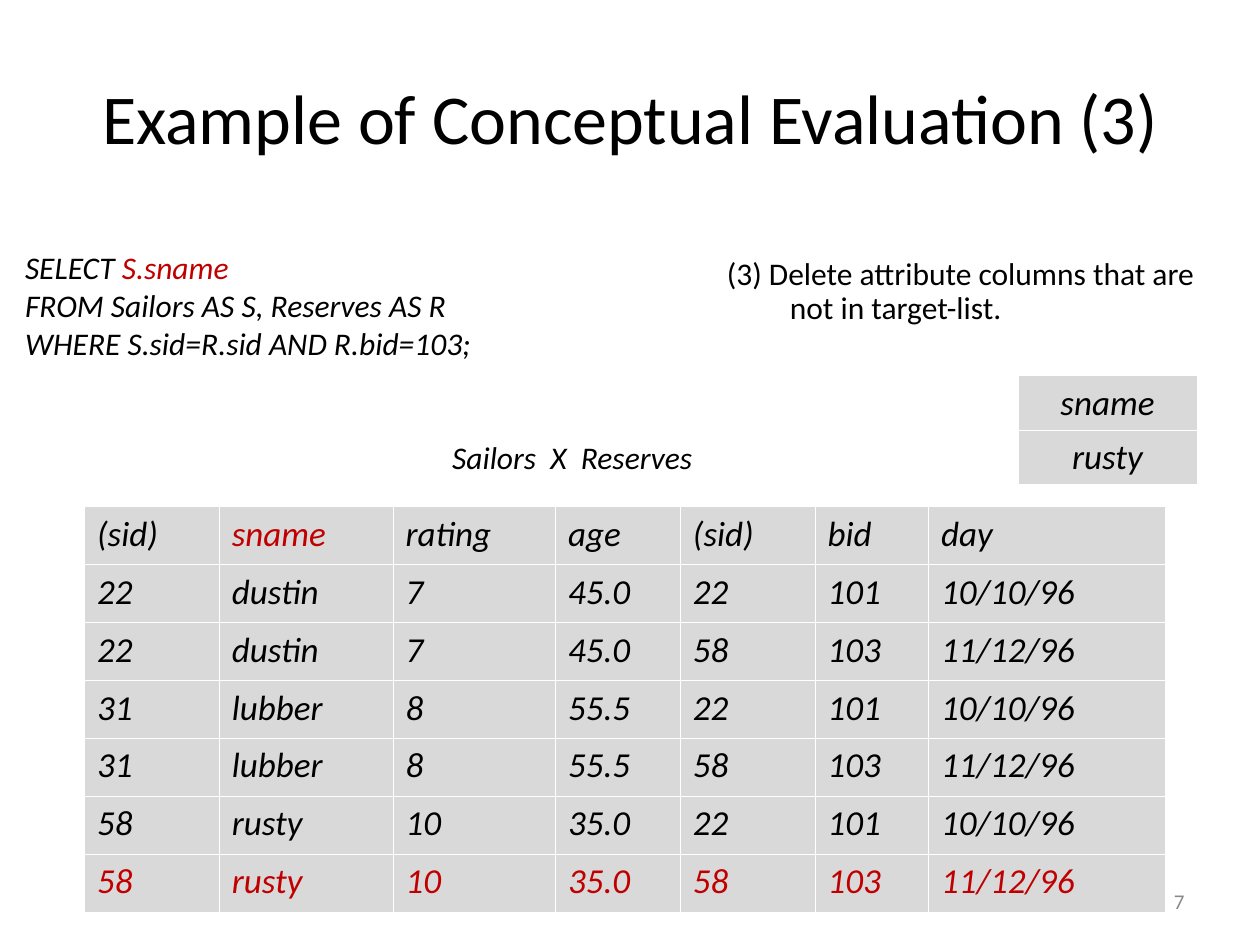
import pptx
import pptx.util
import pptx.dml.color
import pptx.enum.text
import pptx.oxml.ns
from lxml import etree

Inches, Pt = pptx.util.Inches, pptx.util.Pt
ALIGN = pptx.enum.text.PP_ALIGN
ANCHOR = pptx.enum.text.MSO_ANCHOR
COLORS = {"text": "000000", "accent": "C00000", "cell": "D9D9D9",
          "border": "FFFFFF", "number": "898989"}

QUERY = [
    [("SELECT ", "text"), ("S.sname", "accent")],
    [("FROM Sailors AS S, Reserves AS R", "text")],
    [("WHERE S.sid=R.sid AND R.bid=103;", "text")],
]
HEADER = ("(sid)", "sname", "rating", "age", "(sid)", "bid", "day")
SAILORS = [("22", "dustin", "7", "45.0"),
           ("31", "lubber", "8", "55.5"),
           ("58", "rusty", "10", "35.0")]
RESERVES = [("22", "101", "10/10/96"), ("58", "103", "11/12/96")]


def rgb(name):
    return pptx.dml.color.RGBColor.from_string(COLORS[name])


def add_run(p, text, size, color="text", italic=False):
    r = p.add_run()
    r.text = text
    font = {"name": "Calibri", "size": Pt(size), "italic": italic}
    for key, value in font.items():
        setattr(r.font, key, value)
    r.font.color.rgb = rgb(color)


def set_indent(p, left):
    """Hang the first line of a paragraph by the left margin, in inches."""
    pPr = p._p.get_or_add_pPr()
    pPr.set("marL", str(Inches(left)))
    pPr.set("indent", str(-Inches(left)))


def add_title(s, text):
    sp = s.shapes.title
    place = {"left": 0.5, "top": 0.3, "width": 9, "height": 1.25}
    for key, value in place.items():
        setattr(sp, key, Inches(value))
    tf = sp.text_frame
    tf.vertical_anchor = ANCHOR.MIDDLE
    p = tf.paragraphs[0]
    p.alignment = ALIGN.CENTER
    add_run(p, text, 40)


def add_text(s, box, lines, size=18, italic=False, wrap=True):
    """Add a text box; each line is a list of (text, color) runs."""
    tf = s.shapes.add_textbox(*map(Inches, box)).text_frame
    tf.word_wrap = wrap
    for i, runs in enumerate(lines):
        p = tf.add_paragraph() if i else tf.paragraphs[0]
        for text, color in runs:
            add_run(p, text, size, color, italic)
    return tf


def set_borders(cell):
    qn = pptx.oxml.ns.qn
    tcPr = cell._tc.get_or_add_tcPr()
    for i, side in enumerate(("a:lnL", "a:lnR", "a:lnT", "a:lnB")):
        ln = etree.Element(qn(side), w=str(Pt(0.45)))
        fill = etree.SubElement(ln, qn("a:solidFill"))
        etree.SubElement(fill, qn("a:srgbClr"), val=COLORS["border"])
        tcPr.insert(i, ln)


def add_table(s, left, top, widths, row_height, rows, is_accent,
              align=ALIGN.LEFT, indent=0):
    frame = s.shapes.add_table(
        len(rows), len(widths), Inches(left), Inches(top),
        Inches(sum(widths)), Inches(row_height * len(rows)))
    table = frame.table
    table.first_row = table.horz_banding = False
    for column, width in zip(table.columns, widths):
        column.width = Inches(width)
    for i, row in enumerate(rows):
        table.rows[i].height = Inches(row_height)
        for j, text in enumerate(row):
            cell = table.cell(i, j)
            cell.fill.solid()
            cell.fill.fore_color.rgb = rgb("cell")
            set_borders(cell)
            p = cell.text_frame.paragraphs[0]
            p.alignment = align
            if indent:
                set_indent(p, indent)
            add_run(p, text, 20, "accent" if is_accent(i, j) else "text", True)


def main():
    prs = pptx.Presentation()
    prs.slide_width, prs.slide_height = Inches(10), Inches(7.5)
    s = prs.slides.add_slide(prs.slide_layouts[5])

    number = add_text(s, (7.17, 6.95, 2.33, 0.4), [[("7", "number")]], size=12)
    number.vertical_anchor = ANCHOR.MIDDLE
    number.paragraphs[0].alignment = ALIGN.RIGHT
    add_title(s, "Example of Conceptual Evaluation (3)")

    product = [HEADER] + [a + b for a in SAILORS for b in RESERVES]
    last = len(product) - 1
    add_table(s, 0.67, 4.02, [1.07, 1.38, 1.29, 0.99, 1.07, 0.9, 1.88], 0.46,
              product, lambda i, j: i == last or (i, j) == (0, 1), indent=0.38)

    step = add_text(s, (5.67, 2, 4.08, 0.64), [[(
        "(3) Delete attribute columns that are not in target-list.", "text")]])
    step.paragraphs[0].line_spacing = 0.9
    set_indent(step.paragraphs[0], 0.5)
    add_text(s, (3.49, 3.43, 2.28, 0.4), [[("Sailors  X  Reserves", "text")]],
             italic=True, wrap=False)
    add_text(s, (0.1, 1.92, 4.02, 1), QUERY, italic=True, wrap=False)

    add_table(s, 8.08, 2.98, [1.42], 0.43, [["sname"], ["rusty"]],
              lambda i, j: False, align=ALIGN.CENTER)
    prs.save("out.pptx")


if __name__ == "__main__":
    main()
